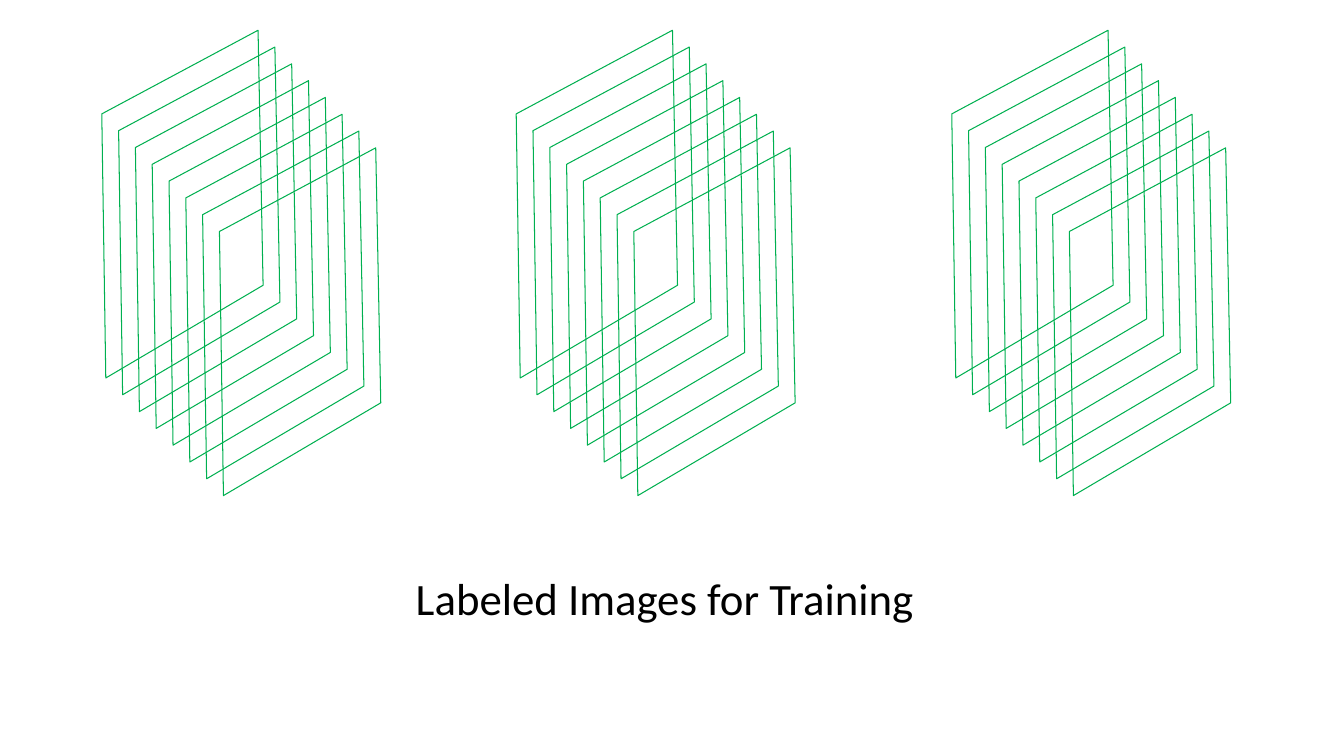
"""Build a slide with three stacks of slanted frames above a caption."""
from dataclasses import dataclass

from pptx import Presentation
from pptx import util as u
from pptx.dml.color import RGBColor
from pptx.enum import text as t
from pptx.slide import Slide

GREEN = RGBColor(0x00, 0xB0, 0x50)
BLACK = RGBColor(0x00, 0x00, 0x00)
FRAME_CORNERS = ((0, 0.83), (0.04, 3.45), (1.6, 2.53), (1.55, 0))
FRAME_STEP = 1 / 6


@dataclass(frozen=True)
class FrameStack:
    left: float
    top: float = 0.3
    count: int = 8


STACKS = (FrameStack(1.01), FrameStack(5.12), FrameStack(9.44))


def draw_frame(page: Slide, left: float, top: float) -> None:
    corners = [(u.Inches(left + x), u.Inches(top + y)) for x, y in FRAME_CORNERS]
    builder = page.shapes.build_freeform(*corners[0])
    builder.add_line_segments(corners[1:], close=True)
    frame = builder.convert_to_shape()
    frame.shadow.inherit = False
    frame.fill.background()
    frame.line.color.rgb = GREEN
    frame.line.width = u.Pt(0.75)


def draw_stack(page: Slide, stack: FrameStack) -> None:
    for index in range(stack.count):
        offset = index * FRAME_STEP
        draw_frame(page, stack.left + offset, stack.top + offset)


def add_text(page: Slide, content: str, *, left: float, top: float, width: float,
             height: float, size: float, font: str, color: RGBColor,
             align: t.PP_ALIGN) -> None:
    box = page.shapes.add_textbox(*map(u.Inches, (left, top, width, height)))
    box.text_frame.word_wrap = True
    box.text_frame.auto_size = t.MSO_AUTO_SIZE.SHAPE_TO_FIT_TEXT
    para = box.text_frame.paragraphs[0]
    para.alignment = align
    span = para.add_run()
    span.text = content
    span.font.size = u.Pt(size)
    span.font.name = font
    span.font.color.rgb = color


def main() -> None:
    deck = Presentation()
    deck.slide_width, deck.slide_height = u.Inches(13.33), u.Inches(7.5)
    page = deck.slides.add_slide(deck.slide_layouts[6])
    for stack in STACKS:
        draw_stack(page, stack)
    add_text(page, "Labeled Images for Training", left=3.38, top=5.61, width=6.43,
             height=0.64, size=32, font="Calibri", color=BLACK,
             align=t.PP_ALIGN.CENTER)
    deck.save("out.pptx")


if __name__ == "__main__":
    main()
